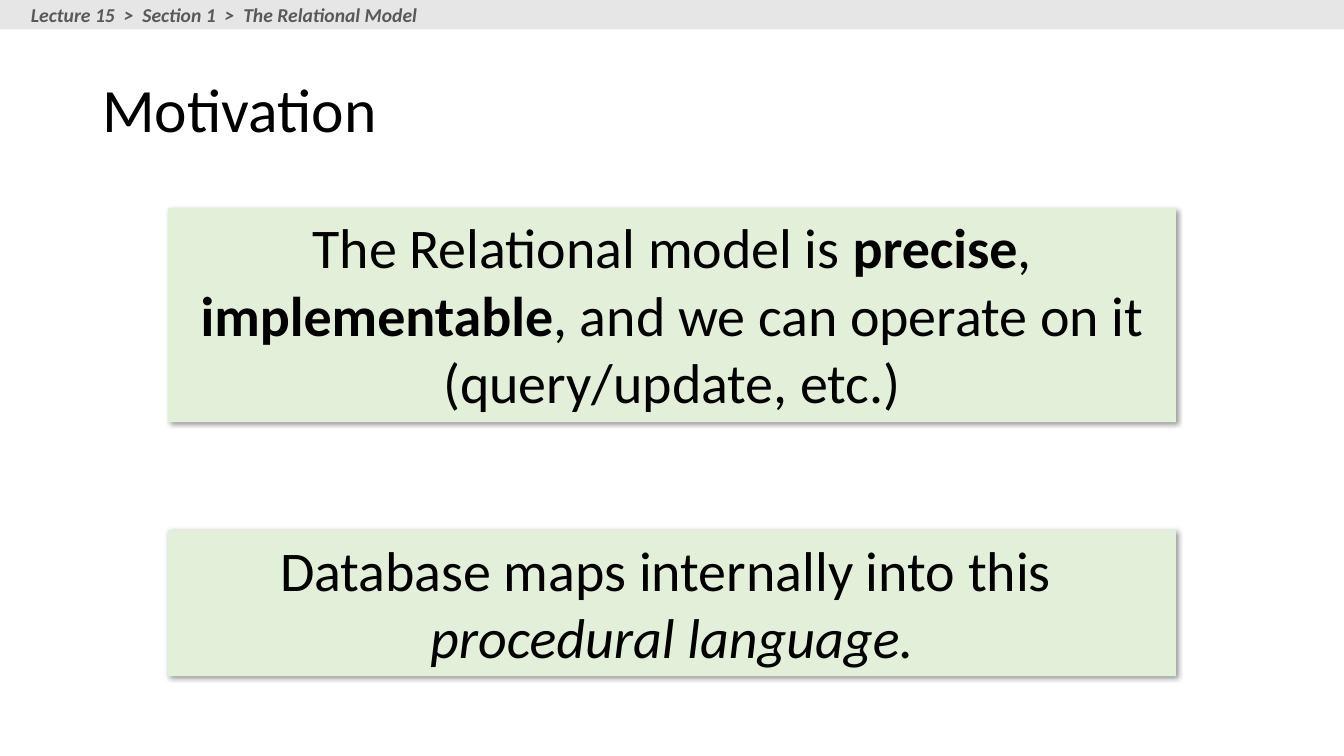
from lxml import etree
from pptx import Presentation
from pptx import util as u
from pptx.dml.color import RGBColor
from pptx.enum import shapes, text
from pptx.oxml.ns import qn

PX = 9525
FONT = "Calibri"


def px(*lengths):
    """Turn pixel lengths into EMU."""
    return [u.Emu(n * PX) for n in lengths]


def paint(color_owner, hex_color):
    """Give a fill a solid colour."""
    color_owner.solid()
    color_owner.fore_color.rgb = RGBColor.from_string(hex_color)


def add_shadow(sp):
    """Add a soft outer shadow towards the lower right."""
    effects = sp._element.spPr.find(qn("a:effectLst"))
    shadow = etree.SubElement(effects, qn("a:outerShdw"), blurRad="50800",
                              dist="12700", dir="2700000", algn="tl", rotWithShape="0")
    color = etree.SubElement(shadow, qn("a:srgbClr"), val="000000")
    etree.SubElement(color, qn("a:alpha"), val="40000")


def write(sp, paragraphs, size, color="000000", align=text.PP_ALIGN.LEFT,
          anchor=text.MSO_ANCHOR.TOP, spacing=None, wrap=True, grow=False):
    """Fill a shape with paragraphs of (words, style) runs, style holding b and i."""
    tf = sp.text_frame
    tf.word_wrap = wrap
    tf.vertical_anchor = anchor
    tf.auto_size = text.MSO_AUTO_SIZE.SHAPE_TO_FIT_TEXT if grow else text.MSO_AUTO_SIZE.NONE
    for n, runs in enumerate(paragraphs):
        p = tf.add_paragraph() if n else tf.paragraphs[0]
        p.alignment = align
        p.line_spacing = spacing
        for words, style in runs:
            r = p.add_run()
            r.text = words
            r.font.name = FONT
            r.font.size = u.Pt(size)
            r.font.bold = "b" in style
            r.font.italic = "i" in style
            paint(r.font.fill, color)


def add_box(s, x, y, w, h, fill):
    """Add a plain filled rectangle."""
    sp = s.shapes.add_shape(shapes.MSO_SHAPE.RECTANGLE, *px(x, y, w, h))
    sp.shadow.inherit = False
    sp.line.fill.background()
    paint(sp.fill, fill)
    return sp


def add_text(s, x, y, w, h, words, size, style="", **form):
    """Add a text box holding one run."""
    write(s.shapes.add_textbox(*px(x, y, w, h)), [[(words, style)]], size, **form)


def add_callout(s, y, h, paragraphs):
    """Add a shadowed green box with large centred text."""
    sp = add_box(s, 160, y, 960, h, "E2F0D9")
    add_shadow(sp)
    write(sp, paragraphs, 40, align=text.PP_ALIGN.CENTER, grow=True)


def main():
    """Build the slide and save it."""
    prs = Presentation()
    prs.slide_width, prs.slide_height = px(1280, 720)
    s = prs.slides.add_slide(prs.slide_layouts[6])
    add_text(s, 88, 38, 1104, 139, "Motivation", 44,
             anchor=text.MSO_ANCHOR.MIDDLE, spacing=0.9)
    add_callout(s, 198, 204, [[
        ("The Relational model is ", ""), ("precise", "b"), (", ", ""),
        ("implementable", "b"),
        (", and we can operate on it (query/update, etc.)", "")]])
    add_callout(s, 505, 139, [
        [("Database maps internally into this ", "")],
        [("procedural language.", "i")]])
    add_box(s, 0, 0, 1280, 28, "E7E6E6")
    add_text(s, 20, -2, 390, 32, "Lecture 15  >  Section 1  >  The Relational Model",
             14, "bi", color="595959", wrap=False, grow=True)
    prs.save("out.pptx")


if __name__ == "__main__":
    main()
